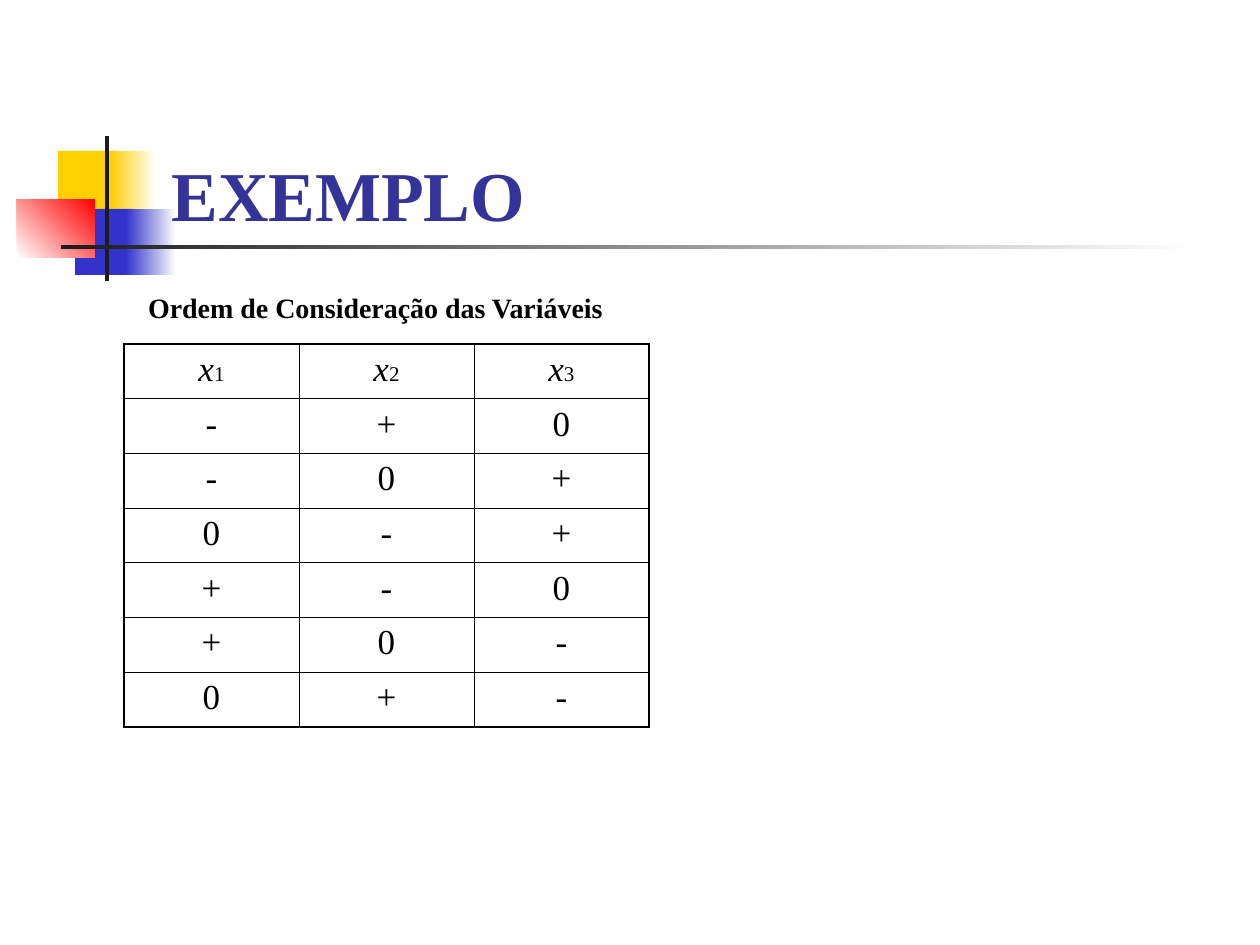
from lxml.etree import SubElement
from pptx import Presentation
from pptx.dml.color import RGBColor
from pptx.enum.shapes import MSO_SHAPE
from pptx.enum.text import MSO_ANCHOR, MSO_AUTO_SIZE, PP_ALIGN
from pptx.oxml.ns import qn
from pptx.util import Inches, Pt

PX = Inches(1) / 126
FONT = "Times New Roman"
BLACK = RGBColor(0x00, 0x00, 0x00)
WHITE = RGBColor(0xFF, 0xFF, 0xFF)
YELLOW = RGBColor(0xFF, 0xCF, 0x01)
BLUE = RGBColor(0x33, 0x33, 0xCC)
RED = RGBColor(0xFF, 0x00, 0x00)
DARK = RGBColor(0x1C, 0x1C, 0x1C)
TITLE = RGBColor(0x33, 0x33, 0x99)


def px(*values):
    return [round(v * PX) for v in values]


def add_run(p, text, size, color=BLACK, bold=False, italic=False):
    r = p.add_run()
    r.text = text
    r.font.name, r.font.size = FONT, Pt(size)
    r.font.bold, r.font.italic = bold, italic
    r.font.color.rgb = color


prs = Presentation()
prs.slide_width, prs.slide_height = px(1260, 945)
s = prs.slides.add_slide(prs.slide_layouts[1])
title, body = s.placeholders

# Decorative blocks and rules: box, start colour, end colour, angle
blocks = [
    ((58, 151, 60, 66), YELLOW, None, 0),
    ((110, 151, 46, 66), YELLOW, WHITE, 0),
    ((75, 209, 58, 66), BLUE, None, 0),
    ((126, 209, 50, 66), BLUE, WHITE, 0),
    ((17, 199, 78, 59), WHITE, RED, 45),
    ((105, 136, 4, 145), DARK, None, 0),
    ((61, 245, 1134, 4), DARK, WHITE, 0),
]
for box, start, end, angle in blocks:
    sp = s.shapes.add_shape(MSO_SHAPE.RECTANGLE, *px(*box))
    sp.shadow.inherit = False
    sp.line.fill.background()
    if end is None:
        sp.fill.solid()
        sp.fill.fore_color.rgb = start
    else:
        sp.fill.gradient()
        sp.fill.gradient_angle = angle
        for stop, color in zip(sp.fill.gradient_stops, (start, end)):
            stop.color.rgb = color

# Title, brought in front of the blocks
s.shapes._spTree.append(title._element)
title.left, title.top, title.width, title.height = px(159, 84, 1074, 158)
tf = title.text_frame
tf.vertical_anchor = MSO_ANCHOR.BOTTOM
tf.auto_size = MSO_AUTO_SIZE.NONE
p = tf.paragraphs[0]
p.alignment = PP_ALIGN.LEFT
add_run(p, "EXEMPLO", 40, TITLE, bold=True)

# Table of variable orders
rows = ["123", "-+0", "-0+", "0-+", "+-0", "+0-", "0+-"]
n_rows, n_cols = len(rows), len(rows[0])
left, top, width, height = px(124, 344, 525, 383)
table = s.shapes.add_table(n_rows, n_cols, left, top, width, height).table
table.first_row = table.horz_banding = False
for row in table.rows:
    row.height = height // n_rows
for i, marks in enumerate(rows):
    for j, mark in enumerate(marks):
        cell = table.cell(i, j)
        p = cell.text_frame.paragraphs[0]
        p.alignment = PP_ALIGN.CENTER
        p.space_before = Pt(5 if i else 3)
        if i == 0:
            add_run(p, "x", 20, italic=True)
            add_run(p, mark, 12)
        else:
            add_run(p, mark, 20)

        # Thick outer borders, thin inner ones
        tcPr = cell._tc.get_or_add_tcPr()
        outer = {"lnL": j == 0, "lnR": j == n_cols - 1,
                 "lnT": i == 0, "lnB": i == n_rows - 1}
        for tag, thick in outer.items():
            ln = SubElement(tcPr, qn("a:" + tag), w=str(Pt(1.08 if thick else 0.45)))
            fill = SubElement(ln, qn("a:solidFill"))
            SubElement(fill, qn("a:srgbClr"), val=str(BLACK))
        cell.fill.background()

# Caption above the table
s.shapes._spTree.append(body._element)
body.left, body.top, body.width, body.height = px(113, 284, 525, 567)
tf = body.text_frame
tf.auto_size = MSO_AUTO_SIZE.NONE
p = tf.paragraphs[0]
p.alignment = PP_ALIGN.CENTER
p.space_before = Pt(4)
pPr = p._p.get_or_add_pPr()
pPr.set("marL", "0")
pPr.set("indent", "0")
SubElement(pPr, qn("a:buNone"))
add_run(p, "Ordem de Consideração das Variáveis", 16, bold=True)

prs.save("out.pptx")
